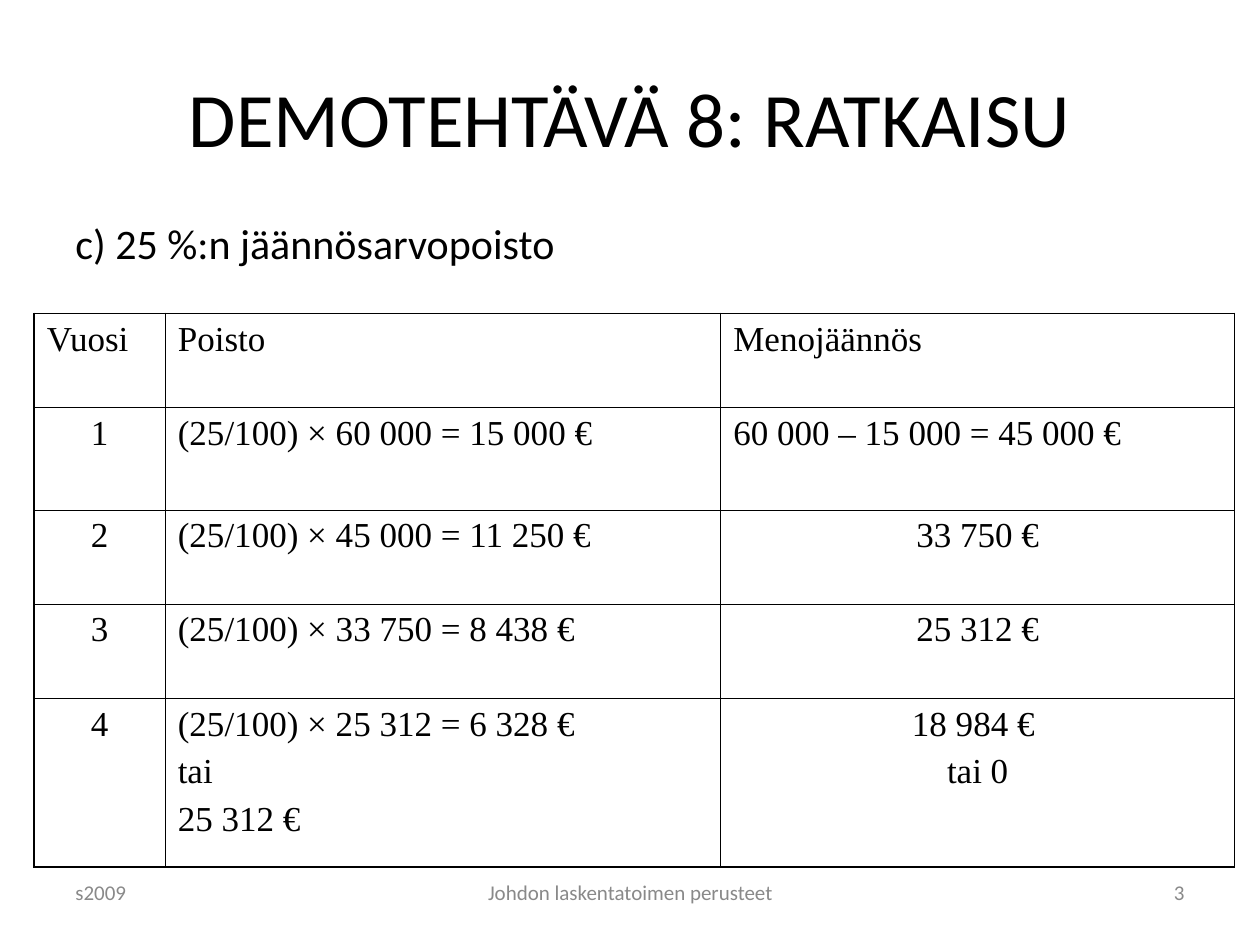
from lxml.etree import SubElement
from pptx import Presentation
from pptx.dml.color import RGBColor
from pptx.enum.text import MSO_ANCHOR, PP_ALIGN
from pptx.oxml.ns import qn
from pptx.util import Cm, Pt

BLACK, GREY = "000000", "898989"
LEFT, CENTER, RIGHT = PP_ALIGN.LEFT, PP_ALIGN.CENTER, PP_ALIGN.RIGHT
THIN, THICK = Pt(0.45), Pt(1.08)

COL_WIDTHS = [2.64, 11.2, 10.36]
ROW_HEIGHTS = [1.9, 2.06, 1.9, 1.9, 3.4]
ROWS = [
    ["Vuosi", "Poisto", "Menojäännös"],
    ["1", "(25/100) × 60 000 = 15 000 €", "60 000 – 15 000 = 45 000 €"],
    ["2", "(25/100) × 45 000 = 11 250 €", "33 750 €"],
    ["3", "(25/100) × 33 750 = 8 438 €", "25 312 €"],
    ["4", "(25/100) × 25 312 = 6 328 €\ntai\n25 312 €", "18 984 € \ntai 0"],
]


def rgb(color):
    return RGBColor.from_string(color)


def write(tf, text, size, font="Calibri", color=BLACK, align=LEFT,
          before=0, spacing=None):
    """Write one paragraph per line of text."""
    for i, line in enumerate(text.split("\n")):
        p = tf.add_paragraph() if i else tf.paragraphs[0]
        p.alignment = align
        p.space_before = Pt(before)
        if spacing:
            p.line_spacing = spacing
        r = p.add_run()
        r.text = line
        r.font.size = Pt(size)
        r.font.name = font
        r.font.color.rgb = rgb(color)


def add_text(s, text, x, y, w, h, anchor=MSO_ANCHOR.MIDDLE, **fmt):
    tf = s.shapes.add_textbox(Cm(x), Cm(y), Cm(w), Cm(h)).text_frame
    tf.word_wrap = True
    tf.vertical_anchor = anchor
    write(tf, text, **fmt)
    return tf


def set_borders(cell, widths, color=BLACK):
    """Set the left, right, top and bottom borders, in that order."""
    tcPr = cell._tc.get_or_add_tcPr()
    for side, width in zip("LRTB", widths):
        ln = SubElement(tcPr, qn(f"a:ln{side}"), w=str(int(width)))
        fill = SubElement(ln, qn("a:solidFill"))
        SubElement(fill, qn("a:srgbClr"), val=color)


def add_depreciation_table(s, x, y):
    n_rows, n_cols = len(ROWS), len(COL_WIDTHS)
    table = s.shapes.add_table(n_rows, n_cols, Cm(x), Cm(y),
                               Cm(sum(COL_WIDTHS)), Cm(sum(ROW_HEIGHTS))).table
    table.first_row = table.horz_banding = False
    for col, width in zip(table.columns, COL_WIDTHS):
        col.width = Cm(width)
    for row, height in zip(table.rows, ROW_HEIGHTS):
        row.height = Cm(height)

    for i, texts in enumerate(ROWS):
        for j, text in enumerate(texts):
            cell = table.cell(i, j)
            # Years and plain remaining values are centred
            centred = (j == 0 and i > 0) or (j == 2 and i > 1)
            write(cell.text_frame, text, size=20, font="Times New Roman",
                  before=5, align=CENTER if centred else LEFT)
            # The outer frame is thicker than the inner grid
            outer = (j == 0, j == n_cols - 1, i == 0, i == n_rows - 1)
            set_borders(cell, [THICK if edge else THIN for edge in outer])
            cell.fill.background()


def main():
    prs = Presentation()
    prs.slide_width, prs.slide_height = Cm(25.4), Cm(19.05)
    s = prs.slides.add_slide(prs.slide_layouts[6])

    # Title and subheading
    add_text(s, "DEMOTEHTÄVÄ 8: RATKAISU", 1.27, 0.76, 22.86, 3.18,
             size=44, align=CENTER)
    add_text(s, "c) 25 %:n jäännösarvopoisto", 1.27, 4.45, 10.44, 1.09,
             anchor=MSO_ANCHOR.TOP, size=24, before=6, spacing=0.8)

    # Depreciation by year
    add_depreciation_table(s, 0.69, 6.32)

    # Footer
    for text, x, w, align in [
        ("s2009", 1.27, 5.92, LEFT),
        ("3", 18.21, 5.92, RIGHT),
        ("Johdon laskentatoimen perusteet", 8.69, 8.04, CENTER),
    ]:
        add_text(s, text, x, 17.35, w, 1.27, size=12, color=GREY, align=align)

    prs.save("out.pptx")


if __name__ == "__main__":
    main()
